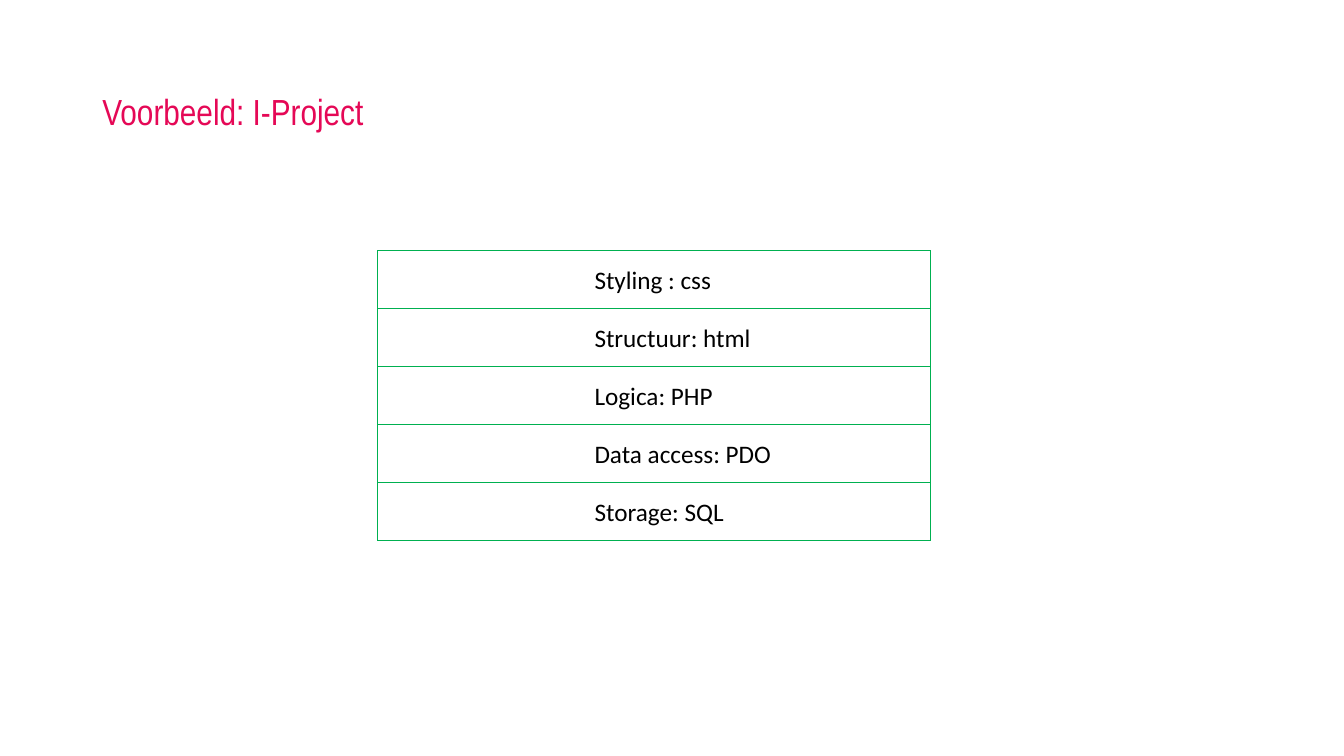
from dataclasses import dataclass

from pptx import Presentation
from pptx.dml.color import RGBColor
from pptx.enum.shapes import MSO_SHAPE
from pptx.enum.text import MSO_ANCHOR as Anchor, MSO_AUTO_SIZE as AutoSize
from pptx.slide import Slide
from pptx.util import Pt


@dataclass(frozen=True)
class Theme:
    title_color: str = "E50856"
    text_color: str = "000000"
    border: str = "00B050"
    fill_top: str = "6183CB"
    fill_bottom: str = "3062BB"
    title_font: str = "Arial Narrow"
    body_font: str = "Calibri"
    title_size: float = 25.9
    body_size: float = 18
    border_width: float = 0.5


@dataclass(frozen=True)
class Layer:
    label: str
    width: float
    wrap: bool = False


THEME = Theme()
LAYERS = [
    Layer("Styling : css", 98.6),
    Layer("Structuur: html", 127.4),
    Layer("Logica: PHP", 100.1),
    Layer("Data access: PDO", 141.8),
    Layer("Storage: SQL", 135.4, wrap=True),
]

# Stack geometry in points
STACK_LEFT, STACK_TOP = 269.3, 178.6
STACK_WIDTH, LAYER_HEIGHT = 395.3, 41.5
LABEL_LEFT, LABEL_INSET, LABEL_HEIGHT = 417.6, 6.3, 29


def add_text(slide: Slide, text: str, left: float, top: float, width: float,
             height: float, *, font: str = THEME.body_font,
             size: float = THEME.body_size, color: str = THEME.text_color,
             anchor: Anchor = Anchor.TOP, wrap: bool = True,
             grow: bool = True, spacing: float = 1.0) -> None:
    sp = slide.shapes.add_textbox(Pt(left), Pt(top), Pt(width), Pt(height))
    tf = sp.text_frame
    tf.word_wrap = wrap
    tf.auto_size = AutoSize.SHAPE_TO_FIT_TEXT if grow else AutoSize.NONE
    tf.vertical_anchor = anchor
    p = tf.paragraphs[0]
    p.line_spacing = spacing
    r = p.add_run()
    r.text = text
    r.font.name = font
    r.font.size = Pt(size)
    r.font.color.rgb = RGBColor.from_string(color)


def add_layer(slide: Slide, layer: Layer, top: float) -> None:
    # A frame of zero thickness leaves only its outline visible
    sp = slide.shapes.add_shape(MSO_SHAPE.FRAME, Pt(STACK_LEFT), Pt(top),
                                Pt(STACK_WIDTH), Pt(LAYER_HEIGHT))
    sp.adjustments[0] = 0
    sp.shadow.inherit = False
    sp.fill.gradient()
    sp.fill.gradient_angle = 270
    for stop, color in zip(sp.fill.gradient_stops,
                           (THEME.fill_top, THEME.fill_bottom)):
        stop.color.rgb = RGBColor.from_string(color)
    sp.line.color.rgb = RGBColor.from_string(THEME.border)
    sp.line.width = Pt(THEME.border_width)
    add_text(slide, layer.label, LABEL_LEFT, top + LABEL_INSET, layer.width,
             LABEL_HEIGHT, wrap=layer.wrap)


def main() -> None:
    prs = Presentation()
    prs.slide_width, prs.slide_height = Pt(960), Pt(540)
    slide = prs.slides.add_slide(prs.slide_layouts[6])

    # Title
    add_text(slide, "Voorbeeld: I-Project", 66, 28.8, 828, 104.4,
             font=THEME.title_font, size=THEME.title_size,
             color=THEME.title_color, anchor=Anchor.MIDDLE, grow=False,
             spacing=0.9)

    # Stack of application layers
    for i, layer in enumerate(LAYERS):
        add_layer(slide, layer, STACK_TOP + i * LAYER_HEIGHT)

    prs.save("out.pptx")


if __name__ == "__main__":
    main()
